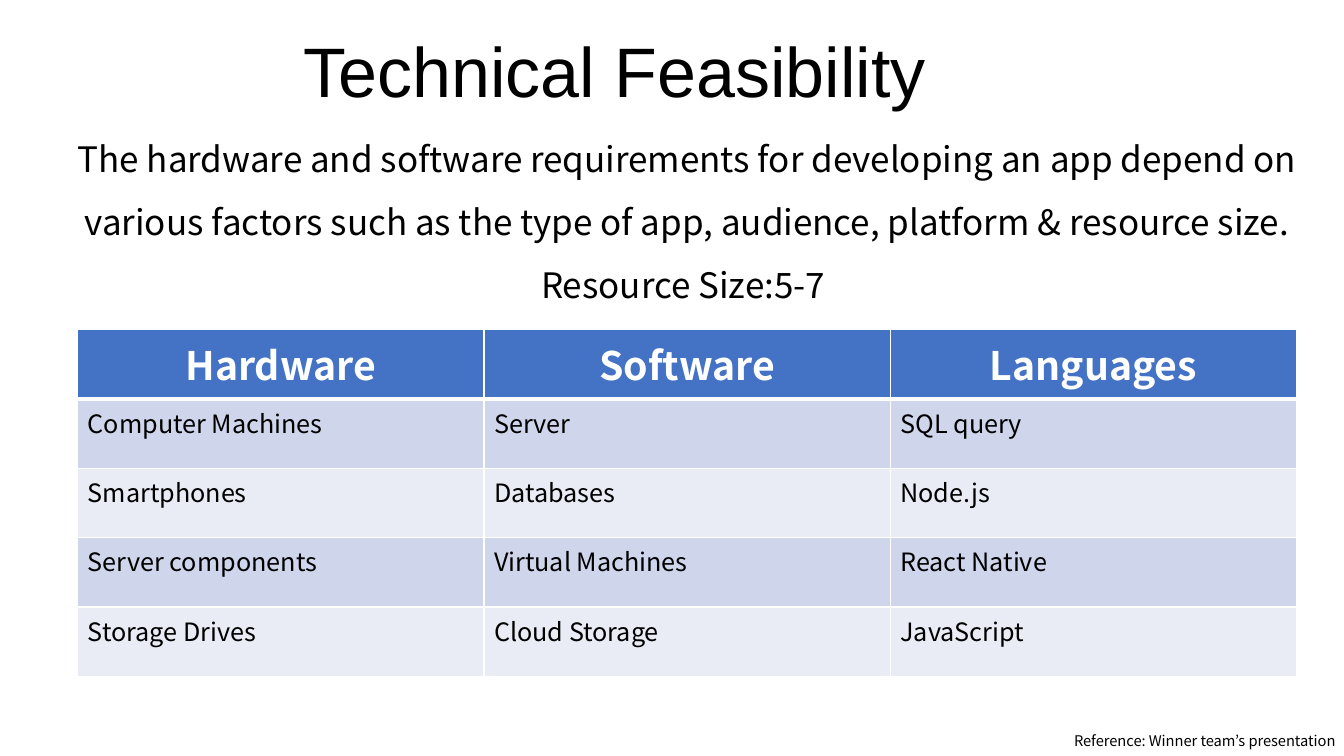
from lxml.etree import SubElement
from pptx import Presentation
from pptx.dml.color import RGBColor
from pptx.enum.text import MSO_ANCHOR, MSO_AUTO_SIZE, PP_ALIGN
from pptx.oxml.ns import qn
from pptx.util import Inches, Pt

# Content
TITLE = "Technical Feasibility"
INTRO = [
    "The hardware and software requirements for developing an app depend on "
    "various factors such as the type of app, audience, platform & resource size.",
    "Resource Size:5-7 ",
]
REQUIREMENTS = [
    ("Hardware", "Software", "Languages"),
    ("Computer Machines", "Server", "SQL query"),
    ("Smartphones", "Databases", "Node.js"),
    ("Server components", "Virtual Machines", "React Native"),
    ("Storage Drives", "Cloud Storage", "JavaScript"),
]
REFERENCE = ["Reference: Winner team’s presentation"]

# Style and places (left, top, width, height in inches)
COLORS = {"text": "000000", "white": "FFFFFF", "header": "4472C4",
          "odd": "CFD5EA", "even": "E9EBF5"}
TITLE_FONT, BODY_FONT = "Arial", "Noto Sans CJK KR"
TITLE_AREA = (2.91, 0.22, 7.52, 0.94)
INTRO_AREA = (0.65, 1.11, 12.33, 1.91)
TABLE_AREA = (0.77, 3.27, 12.09, 3.44)
REFERENCE_AREA = (10.29, 7.12, 3.32, 0.33)


def color(name):
    return RGBColor.from_string(COLORS[name])


def inches(area):
    return [Inches(length) for length in area]


def format_text(frame, size, align, font=BODY_FONT, ink="text", bold=False, spacing=None):
    for para in frame.paragraphs:
        para.alignment = align
        para.line_spacing = spacing
        for span in para.runs:
            span.font.name = font
            span.font.size = Pt(size)
            span.font.bold = bold
            span.font.color.rgb = color(ink)


def add_centered_text(page, area, lines, size):
    frame = page.shapes.add_textbox(*inches(area)).text_frame
    frame.word_wrap = True
    frame.auto_size = MSO_AUTO_SIZE.SHAPE_TO_FIT_TEXT
    frame.text = "\n".join(lines)
    format_text(frame, size, PP_ALIGN.CENTER, spacing=1.5)


def set_borders(cell, widths):
    properties = cell._tc.get_or_add_tcPr()
    for position, (side, width) in enumerate(widths.items()):
        line = SubElement(properties, qn(f"a:ln{side}"), w=str(Pt(width)))
        fill = SubElement(line, qn("a:solidFill"))
        SubElement(fill, qn("a:srgbClr"), val=COLORS["white"])
        properties.insert(position, line)


deck = Presentation()
deck.slide_width, deck.slide_height = Inches(13.33), Inches(7.5)
page = deck.slides.add_slide(deck.slide_layouts[5])

# Title
title = page.shapes.title
title.left, title.top, title.width, title.height = inches(TITLE_AREA)
title.text_frame.text = TITLE
title.text_frame.word_wrap = True
title.text_frame.auto_size = MSO_AUTO_SIZE.NONE
title.text_frame.vertical_anchor = MSO_ANCHOR.TOP
format_text(title.text_frame, 50, PP_ALIGN.LEFT, font=TITLE_FONT)

# Introduction
add_centered_text(page, INTRO_AREA, INTRO, 25)

# Requirements table
table = page.shapes.add_table(
    len(REQUIREMENTS), len(REQUIREMENTS[0]), *inches(TABLE_AREA)).table
for row, entries in enumerate(REQUIREMENTS):
    is_header = row == 0
    fill_name = "header" if is_header else ("odd" if row % 2 else "even")
    for column, entry in enumerate(entries):
        cell = table.cell(row, column)
        cell.text_frame.text = entry
        cell.fill.solid()
        cell.fill.fore_color.rgb = color(fill_name)
        set_borders(cell, {"L": 1, "R": 1, "T": 3 if row == 1 else 1,
                           "B": 3 if is_header else 1})
        if is_header:
            format_text(cell.text_frame, 28, PP_ALIGN.CENTER, ink="white", bold=True)
        else:
            format_text(cell.text_frame, 18, PP_ALIGN.LEFT)

# Reference
add_centered_text(page, REFERENCE_AREA, REFERENCE, 10.5)

deck.save("out.pptx")
